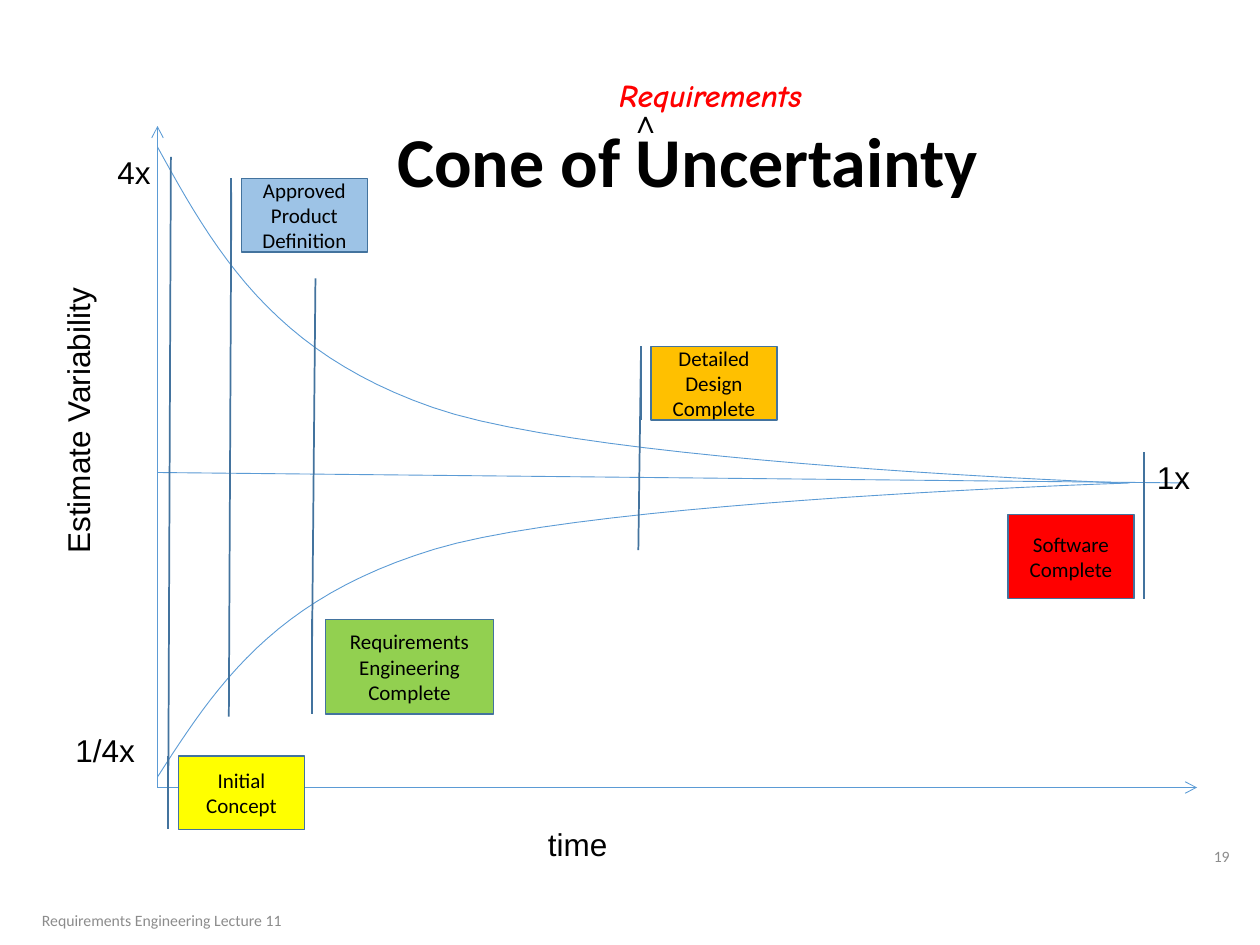
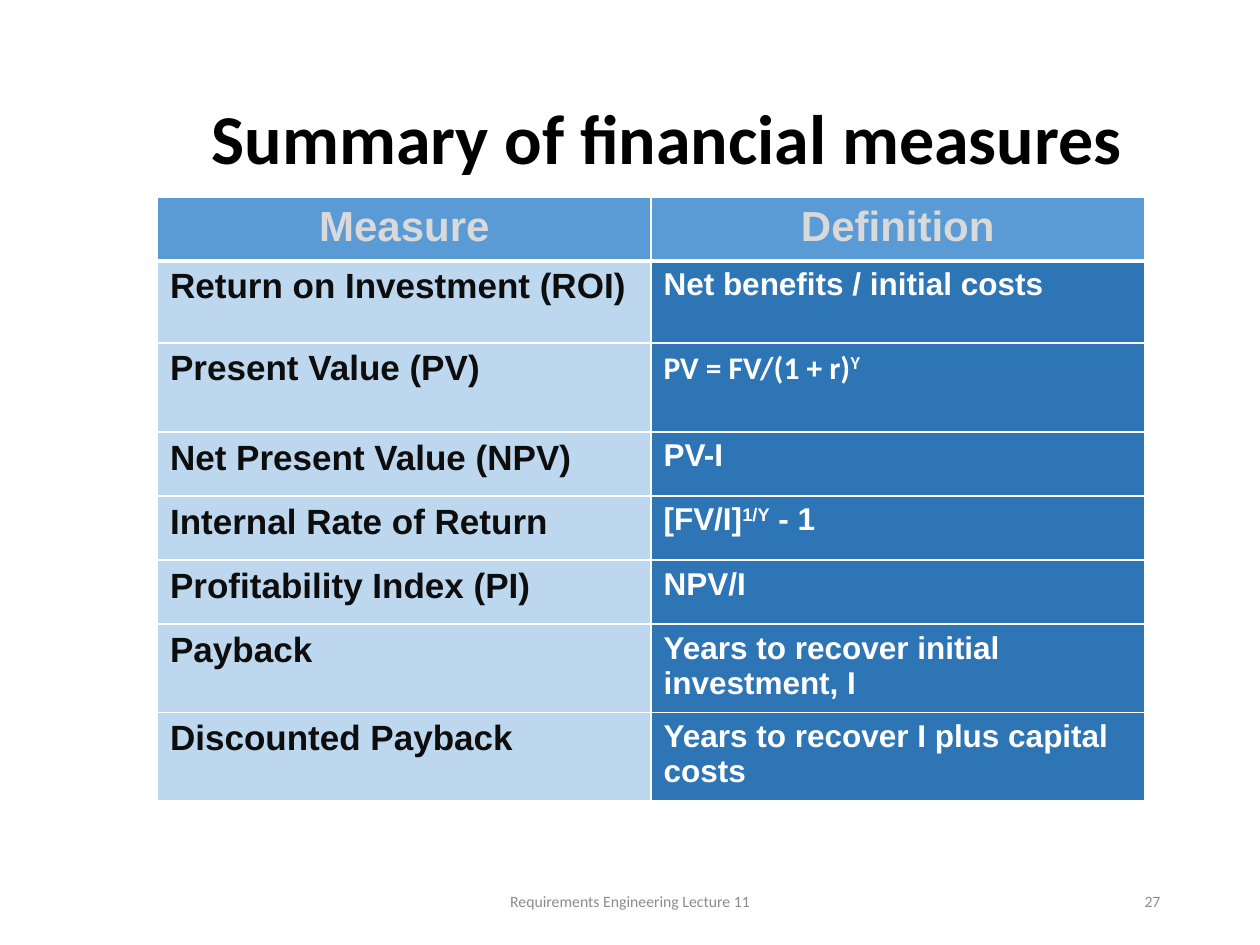
from lxml import etree
from pptx import Presentation, util as u
from pptx.dml.color import RGBColor
from pptx.enum import shapes, text
from pptx.oxml import ns

presentation = Presentation()
presentation.slide_width, presentation.slide_height = u.Inches(10), u.Inches(7.5)
CELL = presentation.slide_width // 120
rgb = RGBColor.from_string
LEFT, CENTER, RIGHT = text.PP_ALIGN.LEFT, text.PP_ALIGN.CENTER, text.PP_ALIGN.RIGHT
MIDDLE, TOP = text.MSO_ANCHOR.MIDDLE, text.MSO_ANCHOR.TOP

BLACK, WHITE, BLUE, EDGE = "000000", "FFFFFF", "5B9BD5", "43739E"
TITLE = {"name": "Calibri", "size": u.Pt(40), "bold": True}
FOOTER = {"name": "Calibri", "size": u.Pt(9)}
LABEL = {"name": "Arial", "size": u.Pt(18)}
CALLOUT = {"name": "Calibri", "size": u.Pt(12)}


def write(frame, runs, font, color=BLACK, align=LEFT, anchor=TOP):
    frame.word_wrap, frame.vertical_anchor = True, anchor
    paragraph = frame.paragraphs[0]
    paragraph.alignment = align
    for index, words in enumerate(runs):
        run = paragraph.add_run()
        run.text = words
        run.font.color.rgb = rgb(color)
        for name, value in font.items():
            setattr(run.font, name, value)
        if index == 1:
            run.font._element.set("baseline", "30000")
    return paragraph


def add_text(slide, box, words, font, color=BLACK, align=LEFT, anchor=TOP):
    shape = slide.shapes.add_textbox(*[round(n * CELL) for n in box])
    write(shape.text_frame, [words], font, color, align, anchor)
    return shape.text_frame


pages = [
    ("Cone of Uncertainty", (11, 8.15), "19", (113.5, 79.1, 4.8, 4.8), (0, 85.2, 30.8, 4.8)),
    ("Summary of financial measures", (9, 6), "27", (84.7, 83.4, 27, 4.8), (39.7, 83.4, 40.6, 4.8)),
]
slides = []
for title, corner, number, number_box, footer_box in pages:
    slide = presentation.slides.add_slide(presentation.slide_layouts[6])
    frame = add_text(slide, (*corner, 109, 15), title, TITLE, BLACK, CENTER, MIDDLE)
    frame.paragraphs[0].line_spacing = 0.9
    add_text(slide, number_box, number, FOOTER, "8C8C8C", RIGHT, MIDDLE)
    add_text(slide, footer_box, "Requirements Engineering Lecture 11", FOOTER, "8C8C8C", CENTER, MIDDLE)
    slides.append(slide)
cone, summary = slides

curves = [
    [(15, 14), (20.4, 23.8), (25.9, 33.5), (41.2, 38.8), (56.5, 44.2), (107, 46), (107, 46)],
    [(15, 74), (20.5, 65.5), (25.9, 57), (41.4, 52.3), (56.8, 47.6), (107.6, 46), (107.6, 46)],
]
STEPS = 24
outlined = []
for knots in curves:
    points = []
    for start in (0, 3):
        for step in range(STEPS + 1):
            t = step / STEPS
            weights = ((1 - t) ** 3, 3 * t * (1 - t) ** 2, 3 * t * t * (1 - t), t ** 3)
            points.append([
                round(CELL * sum(w * knot[axis] for w, knot in zip(weights, knots[start:start + 4])))
                for axis in (0, 1)
            ])
    builder = cone.shapes.build_freeform(*points[0], scale=1)
    builder.add_line_segments(points[1:], close=False)
    curve = builder.convert_to_shape()
    curve.fill.background()
    outlined.append((curve, BLUE, 0.5, False))

for ends, arrow in [((15, 45, 113, 46), False), ((15, 75, 114, 75), True), ((15, 75, 15, 12), True)]:
    line = cone.shapes.add_connector(shapes.MSO_CONNECTOR.STRAIGHT, *[n * CELL for n in ends])
    outlined.append((line, BLUE, 0.5, arrow))

callouts = [
    ("Initial Concept", (17, 72, 12, 7), "FFFF00", -8.15, -0.06),
    ("Approved Product Definition", (23, 17, 12, 7), "9DC3E6", 7.32, -0.1),
    ("Requirements Engineering Complete", (31, 59, 16, 9), "92D050", -3.61, -0.06),
    ("Detailed Design Complete", (62, 33, 12, 7), "FFC000", 2.77, -0.1),
    ("Software Complete", (96, 49, 12, 8), "FF0000", -0.74, -0.08),
]
for words, box, fill, end_y, end_x in callouts:
    callout = cone.shapes.add_shape(
        shapes.MSO_SHAPE.LINE_CALLOUT_1_BORDER_AND_ACCENT_BAR, *[n * CELL for n in box])
    for index, value in enumerate((0.19, -0.08, end_y, end_x)):
        callout.adjustments[index] = value
    callout.fill.solid()
    callout.fill.fore_color.rgb = rgb(fill)
    write(callout.text_frame, [words], CALLOUT, BLACK, CENTER, MIDDLE)
    outlined.append((callout, EDGE, 1, False))
callout.element.spPr.find(ns.qn("a:xfrm")).set("flipH", "1")

for shape, color, width, arrow in outlined:
    shape.line.color.rgb = rgb(color)
    shape.line.width = u.Pt(width)
    if arrow:
        etree.SubElement(shape.line._get_or_add_ln(), ns.qn("a:tailEnd"), type="arrow")
    etree.SubElement(shape.element.spPr, ns.qn("a:effectLst"))

for words, box in [
    ("time", (51, 78, 35, 5)),
    ("1x", (109, 43, 11, 4.8)),
    ("4x", (10, 14, 7, 4.8)),
    ("1/4x", (6, 69, 12, 4.8)),
]:
    add_text(cone, box, words, LABEL)
axis_title = add_text(cone, (5, 9, 6, 44.9), "Estimate Variability", LABEL)
axis_title._txBody.bodyPr.set("vert", "vert270")
add_text(cone, (58.8, 9.1, 5, 4.8), "∧", LABEL | {"name": "Times New Roman"})
insertion = LABEL | {"name": "Comic Neue", "bold": True, "italic": True}
add_text(cone, (57.8, 6.7, 20.4, 4.8), "Requirements", insertion, "FF0000").word_wrap = False

measures = [
    (["Measure"], ["Definition"], 6.1),
    (["Return on Investment (ROI)"], ["Net benefits / initial costs"], 7.8),
    (["Present Value (PV)"], ["PV = FV/(1 + r)", "Y"], 8.5),
    (["Net Present Value (NPV)"], ["PV-I"], 6.1),
    (["Internal Rate of Return"], ["[FV/I]", "1/Y", " - 1"], 6.1),
    (["Profitability Index (PI)"], ["NPV/I"], 6.1),
    (["Payback"], ["Years to recover initial investment, I"], 8.25),
    (["Discounted Payback"], ["Years to recover I plus capital costs"], 8.25),
]
table = summary.shapes.add_table(
    len(measures), 2, 15 * CELL, round(18.75 * CELL), 94 * CELL, 57 * CELL).table
for column in table.columns:
    column.width = 47 * CELL
columns = [(20, "0D0D0D", "BDD7EE"), (18, WHITE, "2E75B6")]
for row, (*entries, height) in enumerate(measures):
    table.rows[row].height = round(height * CELL)
    for column, runs in enumerate(entries):
        size, color, fill = columns[column] if row else (24, "D9D9D9", BLUE)
        cell = table.cell(row, column)
        properties = cell._tc.get_or_add_tcPr()
        for side in ("lnL", "lnR", "lnT", "lnB"):
            width = 3 if (row, side) in ((0, "lnB"), (1, "lnT")) else 1
            border = etree.SubElement(properties, ns.qn("a:" + side), w=str(u.Pt(width)))
            paint = etree.SubElement(border, ns.qn("a:solidFill"))
            etree.SubElement(paint, ns.qn("a:srgbClr"), val=WHITE)
        cell.fill.solid()
        cell.fill.fore_color.rgb = rgb(fill)
        name = "Calibri" if (row, column) == (2, 1) else "Arial"
        font = {"name": name, "size": u.Pt(size), "bold": True}
        write(cell.text_frame, runs, font, color, LEFT if row else CENTER)

presentation.save("out.pptx")
